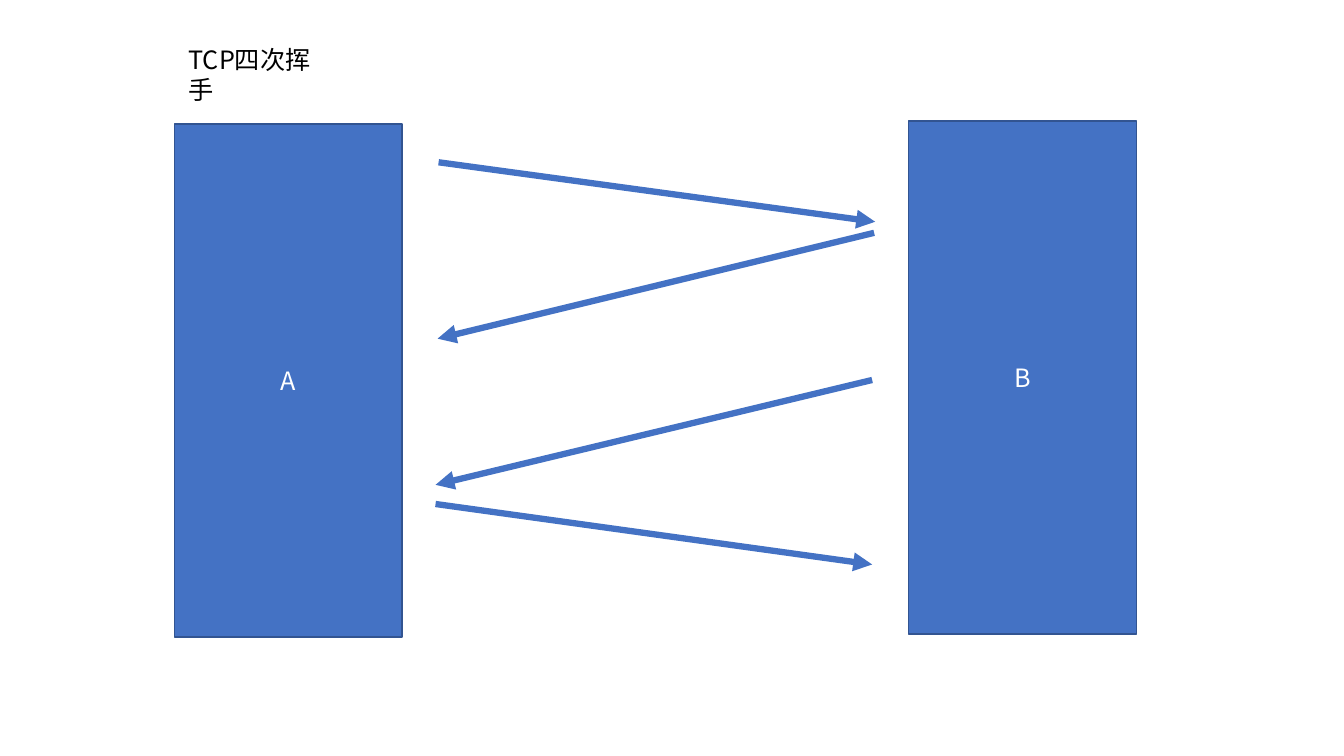
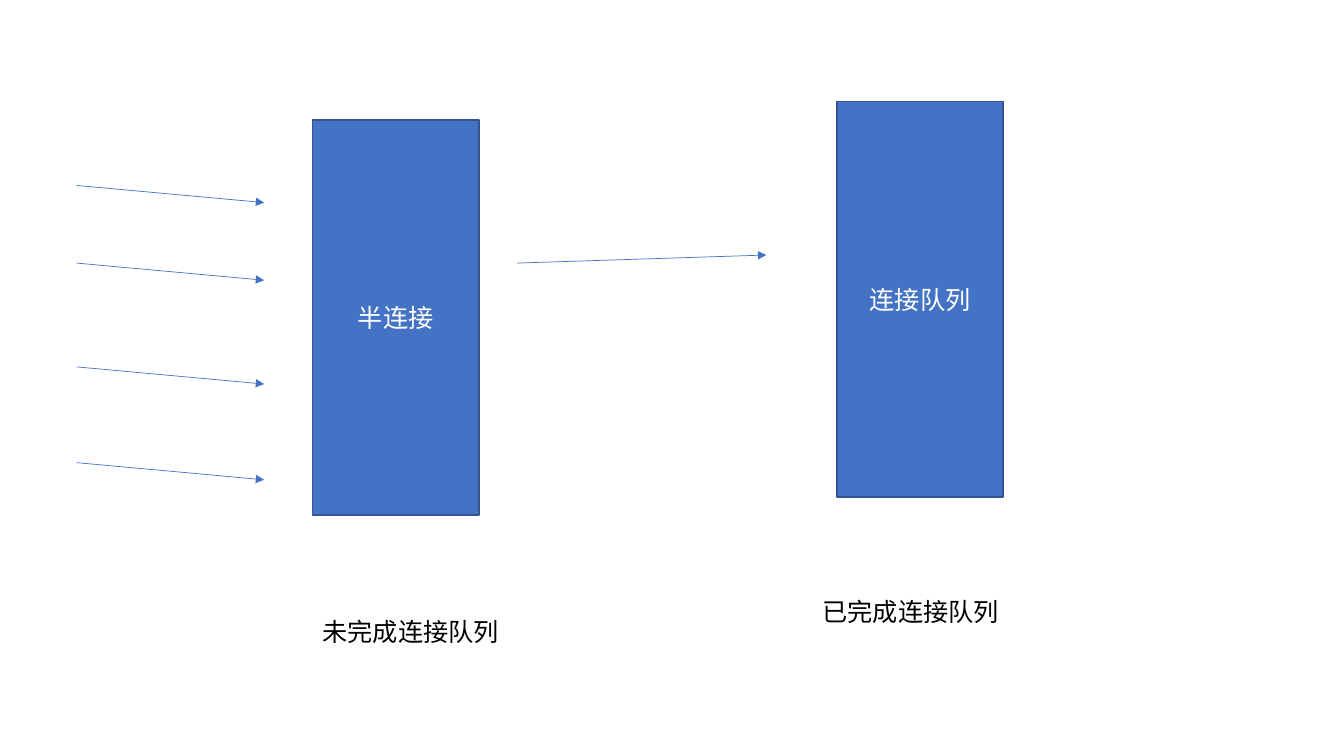
from pptx import Presentation, util as u
from pptx.dml.color import RGBColor
from pptx.enum import shapes, text
from pptx.oxml.ns import qn
from lxml import etree

PX = 9144  # EMU per px, 100 px to the inch
BLUE = RGBColor(0x44, 0x72, 0xC4)
EDGE = RGBColor(0x32, 0x54, 0x91)
WHITE = RGBColor(0xFF, 0xFF, 0xFF)
BLACK = RGBColor(0, 0, 0)
FONT = "Noto Sans CJK SC"
TITLED, BLANK = 5, 6


class Deck:
    def __init__(self):
        self.prs = Presentation()
        self.prs.slide_width, self.prs.slide_height = 1333 * PX, 750 * PX
        self.slide = None

    def page(self, layout):
        self.slide = self.prs.slides.add_slide(self.prs.slide_layouts[layout])

    def words(self, shape, words, color, align, anchor):
        """Fill a shape with one styled paragraph."""
        frame = shape.text_frame
        frame.word_wrap = True
        frame.vertical_anchor = anchor
        para = frame.paragraphs[0]
        para.text = words
        para.alignment = align
        font = para.font
        font.size, font.name = u.Pt(18), FONT
        font.color.rgb = color
        props = para._p.pPr.find(qn("a:defRPr"))
        etree.SubElement(props, qn("a:ea"), typeface=FONT)

    def note(self, shape, words):
        self.words(shape, words, BLACK, text.PP_ALIGN.LEFT,
                   text.MSO_ANCHOR.TOP)
        shape.text_frame.auto_size = text.MSO_AUTO_SIZE.SHAPE_TO_FIT_TEXT

    def title(self, words, x, y, w, h):
        shape = self.slide.shapes.title
        shape.left, shape.top = x * PX, y * PX
        shape.width, shape.height = w * PX, h * PX
        self.note(shape, words)

    def label(self, words, x, y, w, h=40):
        self.note(self.slide.shapes.add_textbox(
            x * PX, y * PX, w * PX, h * PX), words)

    def block(self, words, x, y, w, h):
        shape = self.slide.shapes.add_shape(
            shapes.MSO_SHAPE.RECTANGLE, x * PX, y * PX, w * PX, h * PX)
        shape.shadow.inherit = False
        shape.fill.solid()
        shape.fill.fore_color.rgb = BLUE
        shape.line.color.rgb = EDGE
        shape.line.width = u.Pt(1)
        self.words(shape, words, WHITE, text.PP_ALIGN.CENTER,
                   text.MSO_ANCHOR.MIDDLE)

    def arrow(self, x1, y1, x2, y2, width):
        line = self.slide.shapes.add_connector(
            shapes.MSO_CONNECTOR.STRAIGHT,
            x1 * PX, y1 * PX, x2 * PX, y2 * PX)
        line.line.color.rgb = BLUE
        line.line.width = u.Pt(width)
        etree.SubElement(line.get_or_add_ln(), qn("a:tailEnd"),
                         type="triangle")
        etree.SubElement(line.element.spPr, qn("a:effectLst"))


def wave(deck):
    """Four-way close between two hosts."""
    deck.page(TITLED)
    deck.title("TCP四次挥手", 177, 39, 164, 40)
    for name, x, y in (("A", 173, 123), ("B", 901, 120)):
        deck.block(name, x, y, 226, 509)
    for ends in ((435, 161, 868, 220), (867, 231, 434, 336),
                 (865, 377, 432, 481), (432, 500, 865, 560)):
        deck.arrow(*ends, 4.5)


def queue(deck):
    """Requests pass from the half-open queue to the finished one."""
    deck.page(BLANK)
    for name, x, y in (("半连接", 310, 119), ("连接队列", 830, 101)):
        deck.block(name, x, y, 165, 392)
    deck.label("未完成连接队列", 310, 607, 252)
    deck.label("已完成连接队列", 806, 587, 275)
    for y in (184, 261, 364, 459):
        deck.arrow(76, y, 262, y + 17, 0.5)
    deck.arrow(513, 261, 760, 253, 0.5)


def main():
    deck = Deck()
    wave(deck)
    queue(deck)
    deck.prs.save("out.pptx")


if __name__ == "__main__":
    main()
